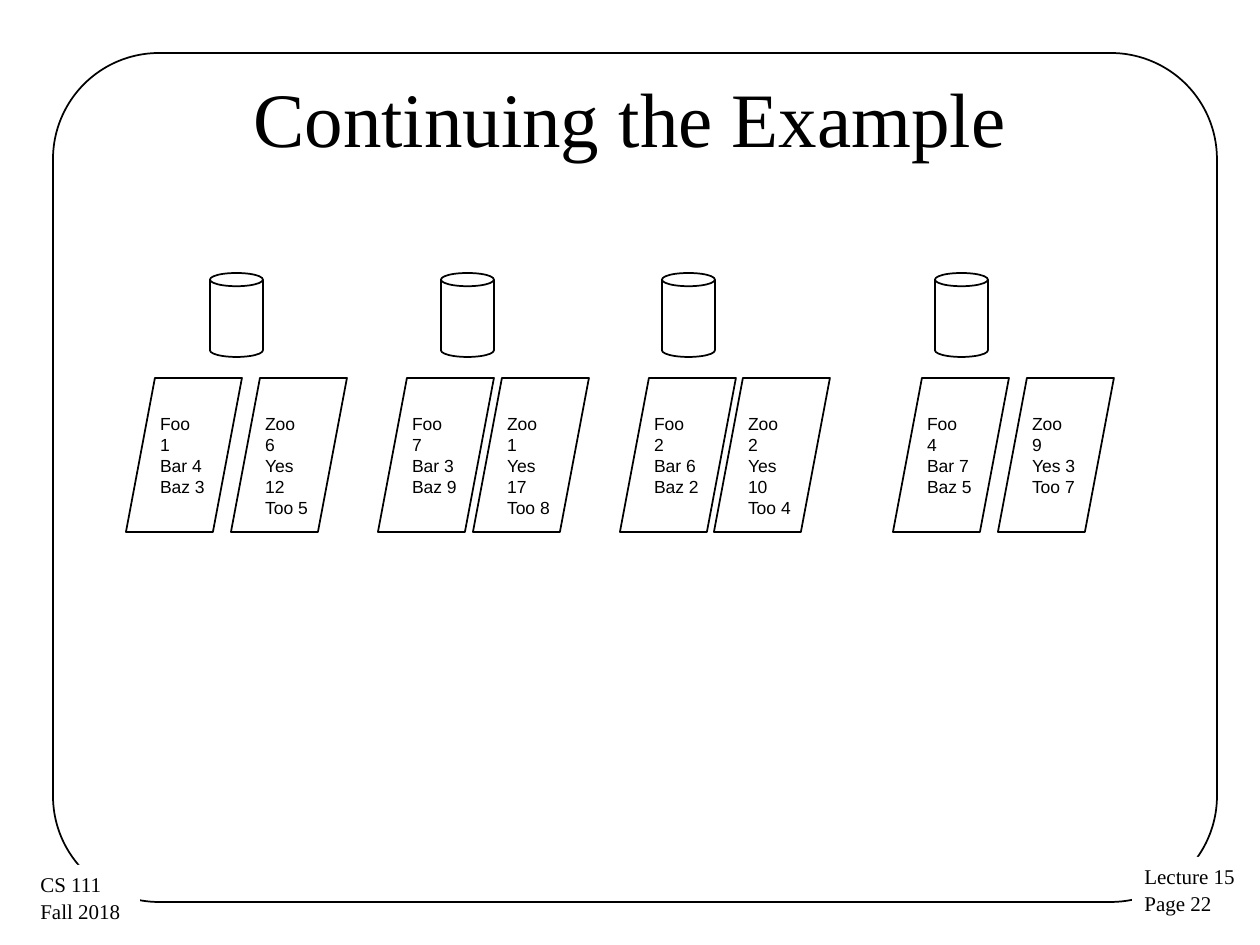
import pptx
import pptx.util
import pptx.dml.color
import pptx.enum.shapes
import pptx.enum.text
from dataclasses import dataclass

PX = 914400 / 126  # EMU per px
SHAPE = pptx.enum.shapes.MSO_SHAPE
ALIGN = pptx.enum.text.PP_ALIGN
ANCHOR = pptx.enum.text.MSO_ANCHOR


@dataclass(frozen=True)
class Theme:
    ink: str = "000000"
    paper: str = "FFFFFF"
    serif: str = "Times New Roman"
    sans: str = "Arial"
    title_size: int = 44
    footer_size: int = 12
    count_size: int = 10
    line_width: int = 1


THEME = Theme()

# Left edges of the disk and its two pages, then the word counts on each page
DISKS = [
    (210, [(126, ["Foo\v1", "Bar 4", "Baz 3"]),
           (231, ["Zoo\v6", "Yes\v12", "Too 5"])]),
    (441, [(378, ["Foo\v7", "Bar 3", "Baz 9"]),
           (473, ["Zoo\v1", "Yes\v17", "Too 8"])]),
    (662, [(620, ["Foo\v2", "Bar 6", "Baz 2"]),
           (714, ["Zoo\v2", "Yes\v10", "Too 4"])]),
    (935, [(893, ["Foo\v4", "Bar 7", "Baz 5"]),
           (998, ["Zoo\v9", "Yes 3", "Too 7"])]),
]


def emu(*lengths):
    return [pptx.util.Emu(round(length * PX)) for length in lengths]


def rgb(code):
    return pptx.dml.color.RGBColor.from_string(code)


def write(part, lines, *, size, font, align=ALIGN.LEFT, anchor=ANCHOR.TOP,
          wrap=True, gap=0):
    frame = part.text_frame
    frame.word_wrap = wrap
    frame.vertical_anchor = anchor
    frame.text = "\n".join(lines)
    for index, paragraph in enumerate(frame.paragraphs):
        paragraph.alignment = align
        if index and gap:
            paragraph.space_before = pptx.util.Pt(gap)
        for run in paragraph.runs:
            run.font.size = pptx.util.Pt(size)
            run.font.name = font
            run.font.color.rgb = rgb(THEME.ink)


def draw(slide, kind, box, *, fill=None, outlined=True):
    part = slide.shapes.add_shape(kind, *emu(*box))
    part.shadow.inherit = False
    if fill:
        part.fill.solid()
        part.fill.fore_color.rgb = rgb(fill)
    else:
        part.fill.background()
    if outlined:
        part.line.color.rgb = rgb(THEME.ink)
        part.line.width = pptx.util.Pt(THEME.line_width)
    else:
        part.line.fill.background()
    return part


def add_frame(slide, box):
    border = draw(slide, SHAPE.ROUNDED_RECTANGLE, box)
    border.adjustments[0] = 0.125


def add_footer(slide, box, lines):
    # The white fill interrupts the frame behind the label
    label = draw(slide, SHAPE.RECTANGLE, box, fill=THEME.paper, outlined=False)
    write(label, lines, size=THEME.footer_size, font=THEME.serif,
          wrap=False, gap=1)


def add_title(slide, box, text):
    title = slide.shapes.title
    title.left, title.top, title.width, title.height = emu(*box)
    write(title, [text], size=THEME.title_size, font=THEME.serif,
          align=ALIGN.CENTER, anchor=ANCHOR.MIDDLE)


def add_disks(slide, box):
    left, top, _, height = box
    page_width, page_height = 116, 154
    for disk_left, pages in DISKS:
        # Disk above its pages
        draw(slide, SHAPE.CAN, (left + disk_left, top, 53, 84))
        for page_left, counts in pages:
            page = draw(slide, SHAPE.PARALLELOGRAM,
                        (left + page_left, top + height - page_height,
                         page_width, page_height))
            page.adjustments[0] = 0.25
            write(page, counts, size=THEME.count_size, font=THEME.sans)


def main():
    deck = pptx.Presentation()
    deck.slide_width, deck.slide_height = emu(1260, 945)
    slide = deck.slides.add_slide(deck.slide_layouts[5])
    add_frame(slide, (53, 53, 1164, 849))
    add_footer(slide, (1132, 857, 117, 64), ["Lecture 15", "Page 22"])
    add_footer(slide, (28, 865, 112, 64), ["CS 111", "Fall 2018"])
    add_title(slide, (63, 38, 1134, 158), "Continuing the Example")
    add_disks(slide, (0, 273, 1260, 259))
    deck.save("out.pptx")


if __name__ == "__main__":
    main()
